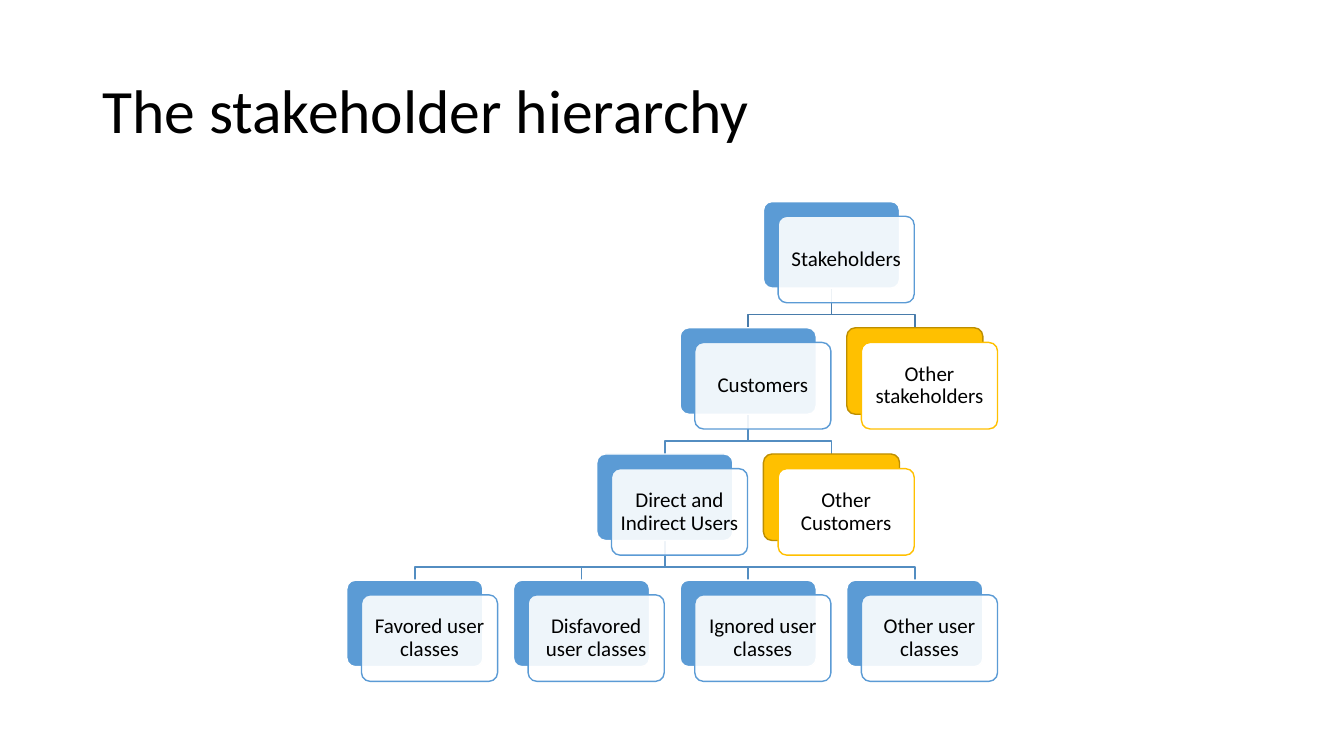
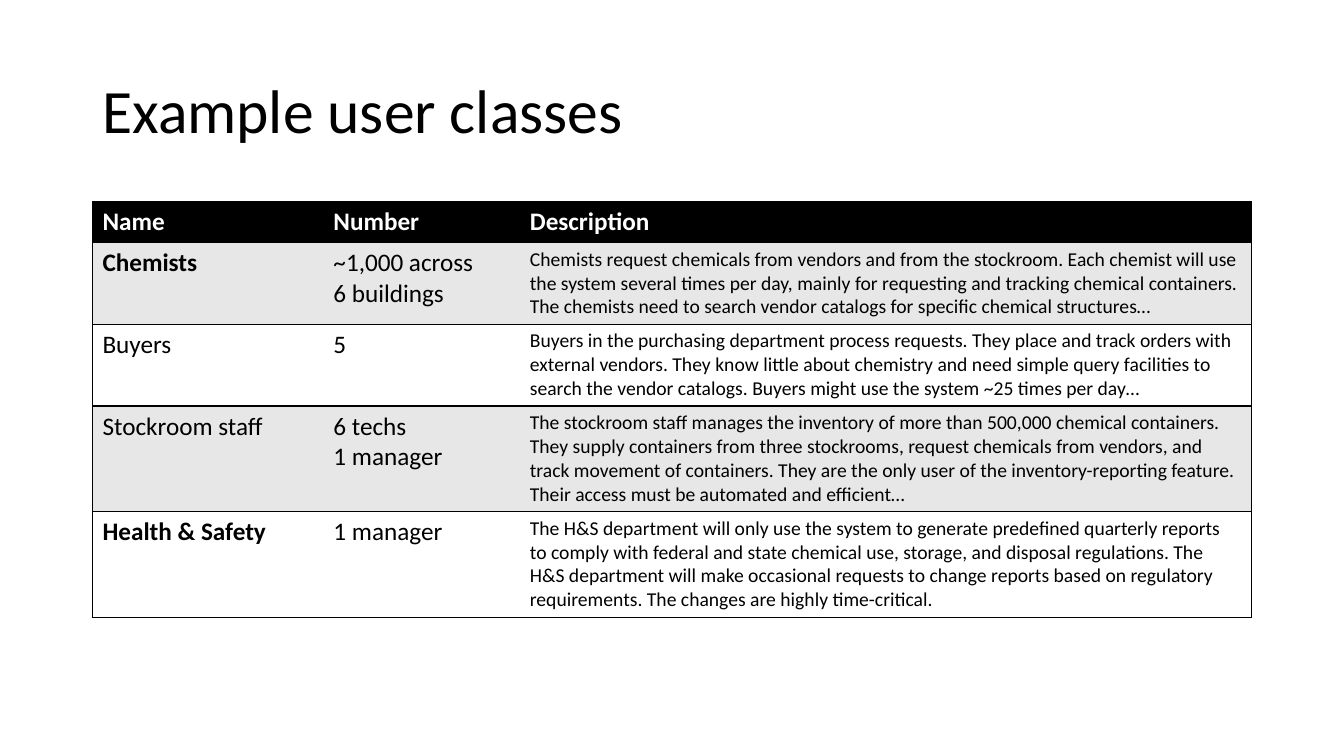
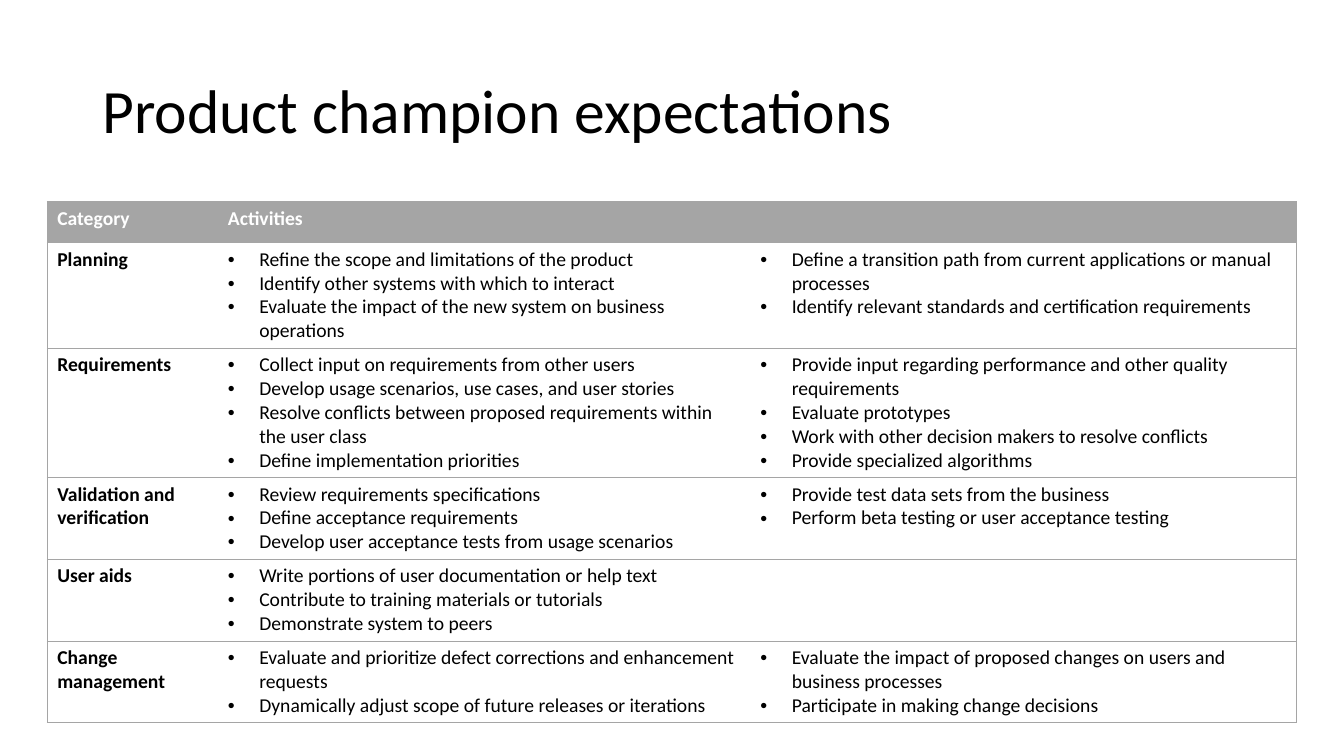
"""Build three slides on stakeholders, user classes and product champions."""
from lxml import etree
from pptx import Presentation
from pptx import util as u
from pptx.dml import color
from pptx.enum import shapes, text
from pptx.oxml import ns

FONT = "Calibri"
BLACK, WHITE, BLUE, AMBER, AMBER_EDGE = "000000", "FFFFFF", "5B9BD5", "FFC000", "BD8E00"
BAND, GREY = "E7E7E7", "A5A5A5"
LINK_COLOURS = ["497CAB", "538DC1", "538DC1"]

TREE = {"name": "Stakeholders", "children": [
    {"name": "Customers", "children": [
        {"name": "Direct and Indirect Users", "children": [
            {"name": "Favored user classes", "slot": 0},
            {"name": "Disfavored user classes", "slot": 2},
            {"name": "Ignored user classes", "slot": 4},
            {"name": "Other user classes", "slot": 6},
        ]},
        {"name": "Other Customers", "slot": 5, "amber": True},
    ]},
    {"name": "Other stakeholders", "slot": 6, "amber": True},
]}
TREE_LEFT, TREE_TOP = 8.74, 5.08
SLOT_STEP, LEVEL_STEP = 2.1, 3.18
BOX_WIDTH, BOX_HEIGHT = 3.43, 2.18
FRONT_SHIFT = 0.37
ELBOW_DROP = 0.67

USER_CLASSES = [
    ["Name", "Number", "Description"],
    ["Chemists", ["~1,000 across", "6 buildings"],
     "Chemists request chemicals from vendors and from the stockroom. Each chemist will use the "
     "system several times per day, mainly for requesting and tracking chemical containers. The "
     "chemists need to search vendor catalogs for specific chemical structures…"],
    ["Buyers", "5",
     "Buyers in the purchasing department process requests. They place and track orders with "
     "external vendors. They know little about chemistry and need simple query facilities to "
     "search the vendor catalogs. Buyers might use the system ~25 times per day…"],
    ["Stockroom staff", ["6 techs", "1 manager"],
     "The stockroom staff manages the inventory of more than 500,000 chemical containers. They "
     "supply containers from three stockrooms, request chemicals from vendors, and track movement "
     "of containers. They are the only user of the inventory-reporting feature. Their access must "
     "be automated and efficient…"],
    ["Health & Safety", "1 manager",
     "The H&S department will only use the system to generate predefined quarterly reports to "
     "comply with federal and state chemical use, storage, and disposal regulations. The H&S "
     "department will make occasional requests to change reports based on regulatory "
     "requirements. The changes are highly time-critical."],
]
FAVORED_CLASSES = ("Chemists", "Health & Safety")

EXPECTATIONS = [
    ["Category", "Activities", ""],
    ["Planning",
     ["Refine the scope and limitations of the product",
      "Identify other systems with which to interact",
      "Evaluate the impact of the new system on business operations"],
     ["Define a transition path from current applications or manual processes",
      "Identify relevant standards and certification requirements"]],
    ["Requirements",
     ["Collect input on requirements from other users",
      "Develop usage scenarios, use cases, and user stories",
      "Resolve conflicts between proposed requirements within the user class",
      "Define implementation priorities"],
     ["Provide input regarding performance and other quality requirements",
      "Evaluate prototypes",
      "Work with other decision makers to resolve conflicts",
      "Provide specialized algorithms"]],
    ["Validation and verification",
     ["Review requirements specifications",
      "Define acceptance requirements",
      "Develop user acceptance tests from usage scenarios"],
     ["Provide test data sets from the business",
      "Perform beta testing or user acceptance testing"]],
    ["User aids",
     ["Write portions of user documentation or help text",
      "Contribute to training materials or tutorials",
      "Demonstrate system to peers"],
     None],
    ["Change management",
     ["Evaluate and prioritize defect corrections and enhancement requests",
      "Dynamically adjust scope of future releases or iterations"],
     ["Evaluate the impact of proposed changes on users and business processes",
      "Participate in making change decisions"]],
]


def rgb(value):
    return color.RGBColor.from_string(value)


def write_text(frame, content, size=14, colour=BLACK, bold=False, align=None,
               spacing=None, bullet=False):
    frame.word_wrap = True
    lines = [content] if isinstance(content, str) else content
    for index, line in enumerate(lines):
        paragraph = frame.paragraphs[0] if index == 0 else frame.add_paragraph()
        paragraph.alignment = align
        paragraph.line_spacing = spacing
        run = paragraph.add_run()
        run.text = line
        font = run.font
        font.name, font.size, font.bold = FONT, u.Pt(size), bold
        font.color.rgb = rgb(colour)
        if bullet:
            properties = paragraph._p.get_or_add_pPr()
            properties.set("marL", str(u.Cm(0.79)))
            properties.set("indent", str(u.Cm(-0.79)))
            etree.SubElement(properties, ns.qn("a:buFont"), typeface="Arial")
            etree.SubElement(properties, ns.qn("a:buChar"), char="•")


def add_titled_slide(presentation, title):
    slide = presentation.slides.add_slide(presentation.slide_layouts[6])
    box = slide.shapes.add_textbox(u.Cm(2.33), u.Cm(1.01), u.Cm(29.21), u.Cm(3.68))
    box.text_frame.vertical_anchor = text.MSO_ANCHOR.MIDDLE
    write_text(box.text_frame, title, size=44, spacing=0.9)
    return slide


def place_nodes(node, level=0):
    children = node.get("children", [])
    nodes = [node]
    for child in children:
        nodes += place_nodes(child, level + 1)
    if children:
        node["slot"] = sum(child["slot"] for child in children) / len(children)
    node["level"] = level
    node["left"] = TREE_LEFT + node["slot"] * SLOT_STEP
    node["top"] = TREE_TOP + level * LEVEL_STEP
    return nodes


def add_link(slide, parent, child):
    start_x, end_x = (u.Cm(node["left"] + BOX_WIDTH / 2) for node in (parent, child))
    bottom = parent["top"] + BOX_HEIGHT
    elbow_y = u.Cm(bottom + ELBOW_DROP)
    builder = slide.shapes.build_freeform(start_x, u.Cm(bottom))
    builder.add_line_segments(
        [(start_x, elbow_y), (end_x, elbow_y), (end_x, u.Cm(child["top"]))], close=False)
    link = builder.convert_to_shape()
    link.shadow.inherit = False
    link.fill.background()
    link.line.color.rgb = rgb(LINK_COLOURS[parent["level"]])
    link.line.width = u.Pt(1)


def add_card(slide, left, top, fill, edge):
    card = slide.shapes.add_shape(shapes.MSO_SHAPE.ROUNDED_RECTANGLE, u.Cm(left), u.Cm(top),
                                  u.Cm(BOX_WIDTH), u.Cm(BOX_HEIGHT))
    card.adjustments[0] = 0.1
    card.shadow.inherit = False
    card.fill.solid()
    card.fill.fore_color.rgb = rgb(fill)
    card.line.color.rgb = rgb(edge)
    card.line.width = u.Pt(1)
    return card


def add_node(slide, node):
    amber = node.get("amber", False)
    accent = AMBER if amber else BLUE
    add_card(slide, node["left"], node["top"], accent, AMBER_EDGE if amber else WHITE)
    front = add_card(slide, node["left"] + FRONT_SHIFT, node["top"] + FRONT_SHIFT, WHITE, accent)
    if not amber:
        fill_colour = front._element.spPr.find(ns.qn("a:solidFill"))[0]
        etree.SubElement(fill_colour, ns.qn("a:alpha"), val="90000")
    frame = front.text_frame
    frame.margin_left = frame.margin_right = u.Cm(0.1)
    frame.margin_top = frame.margin_bottom = u.Cm(0.15)
    frame.vertical_anchor = text.MSO_ANCHOR.MIDDLE
    write_text(frame, node["name"], size=15, align=text.PP_ALIGN.CENTER, spacing=0.9)


def set_borders(cell, colour, width, left, right):
    properties = cell._tc.get_or_add_tcPr()
    sides = {"L": left, "R": right, "T": True, "B": True}
    for index, (side, visible) in enumerate(sides.items()):
        line = etree.Element(ns.qn(f"a:ln{side}"), w=str(u.Pt(width)))
        if visible:
            fill = etree.SubElement(line, ns.qn("a:solidFill"))
            etree.SubElement(fill, ns.qn("a:srgbClr"), val=colour)
        else:
            etree.SubElement(line, ns.qn("a:noFill"))
        properties.insert(index, line)


def add_grid(slide, rows, left, widths, heights, border, style):
    frame = slide.shapes.add_table(len(rows), len(widths), u.Cm(left), u.Cm(5.08),
                                   u.Cm(sum(widths)), u.Cm(sum(heights)))
    table = frame.table
    table.first_row = table.horz_banding = False
    for column, width in zip(table.columns, widths):
        column.width = u.Cm(width)
    for r, (row, height) in enumerate(zip(rows, heights)):
        table.rows[r].height = u.Cm(height)
        for c, content in enumerate(row):
            cell = table.cell(r, c)
            if content is None:
                table.cell(r, c - 1).merge(cell)
            fill, text_format = style(r, c, row)
            cell.fill.solid()
            cell.fill.fore_color.rgb = rgb(fill)
            if content:
                write_text(cell.text_frame, content, **text_format)
    for r in range(len(rows)):
        for c in range(len(widths)):
            cell = table.cell(r, c)
            set_borders(cell, *border, left=c == 0, right=c + cell.span_width == len(widths))


def class_style(r, c, row):
    if r == 0:
        return BLACK, {"size": 18, "colour": WHITE, "bold": True}
    bold = c == 0 and row[0] in FAVORED_CLASSES
    return (BAND if r % 2 else WHITE), {"size": 14 if c == 2 else 18, "bold": bold}


def expectation_style(r, c, row):
    if r == 0:
        return GREY, {"colour": WHITE, "bold": True}
    return WHITE, {"bold": c == 0, "bullet": c > 0}


def main():
    presentation = Presentation()
    presentation.slide_width, presentation.slide_height = u.Cm(33.87), u.Cm(19.05)

    slide = add_titled_slide(presentation, "The stakeholder hierarchy")
    nodes = place_nodes(TREE)
    for node in nodes:
        for child in node.get("children", []):
            add_link(slide, node, child)
    for node in nodes:
        add_node(slide, node)

    slide = add_titled_slide(presentation, "Example user classes")
    add_grid(slide, USER_CLASSES, 2.33, [5.82, 4.95, 18.44],
             [1.03, 2.06, 2.06, 2.66, 2.66], (BLACK, 1), class_style)

    slide = add_titled_slide(presentation, "Product champion expectations")
    add_grid(slide, EXPECTATIONS, 1.19, [4.3, 13.42, 13.75],
             [1.03, 2.66, 3.26, 2.06, 2.06, 2.06], (GREY, 0.5), expectation_style)

    presentation.save("out.pptx")


if __name__ == "__main__":
    main()
